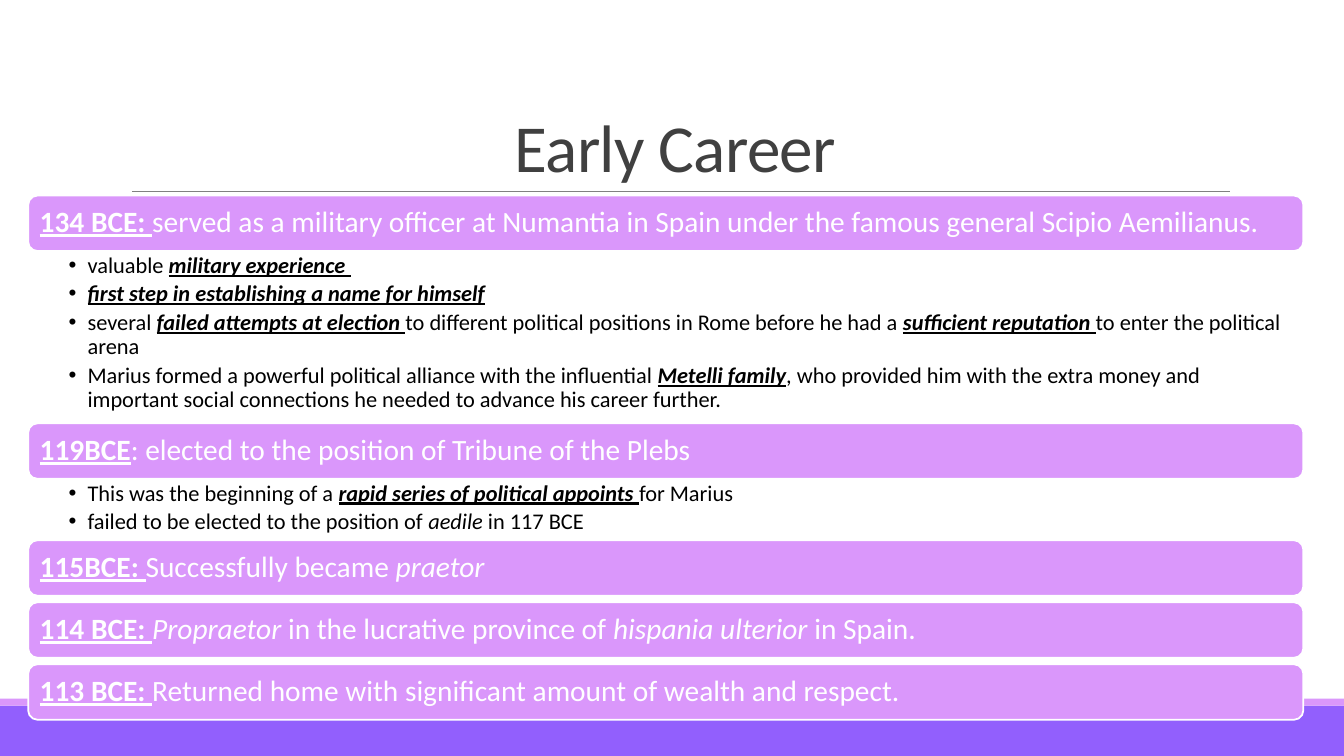
from dataclasses import dataclass
from typing import NamedTuple

from lxml.etree import SubElement
from pptx import Presentation
from pptx.dml.color import RGBColor as Rgb
from pptx.enum.shapes import MSO_CONNECTOR as Conn, MSO_SHAPE as Kind
from pptx.enum.text import MSO_ANCHOR as Anchor, MSO_AUTO_SIZE as Fit, PP_ALIGN as Align
from pptx.oxml.ns import qn
from pptx.shapes.autoshape import Shape
from pptx.slide import Slide
from pptx.text.text import TextFrame
from pptx.util import Pt


@dataclass(frozen=True)
class Theme:
    font: str = "Calibri"
    lilac: str = "DA97FB"
    violet: str = "925FFD"
    white: str = "FFFFFF"
    black: str = "000000"
    ink: str = "404040"
    rule: str = "808080"
    title: float = 48
    head: float = 21
    item: float = 16


class Run(NamedTuple):
    """Text and its style letters: b bold, i italic, u underline."""
    text: str
    style: str = ""


@dataclass(frozen=True)
class Event:
    head: list[Run]
    items: tuple[list[Run], ...] = ()
    room: float = 4.7  # height between this bar and the next


THEME = Theme()
WIDE, HIGH = 960, 540
LEFT, SPAN = 20.16, 910.8
TOP, BAR = 139.7, 39.6

EVENTS = [
    Event(
        [Run("134 BCE: ", "bu"),
         Run("served as a military officer at Numantia in Spain under the "
             "famous general Scipio Aemilianus.")],
        ([Run("valuable "), Run("military experience ", "biu")],
         [Run("first step in establishing a name for himself", "biu")],
         [Run("several "), Run("failed attempts at election ", "biu"),
          Run("to different political positions in Rome before he had a "),
          Run("sufficient reputation ", "biu"),
          Run("to enter the political arena")],
         [Run("Marius formed a powerful political alliance with the influential "),
          Run("Metelli family", "biu"),
          Run(", who provided him with the extra money and important social "
              "connections he needed to advance his career further.")]),
        123.1),
    Event(
        [Run("119BCE", "bu"),
         Run(": elected to the position of Tribune of the Plebs")],
        ([Run("This was the beginning of a "),
          Run("rapid series of political appoints ", "biu"), Run("for Marius")],
         [Run("failed to be elected to the position of "), Run("aedile", "i"),
          Run(" in 117 BCE")]),
        43.9),
    Event([Run("115BCE: ", "bu"), Run("Successfully became "), Run("praetor", "i")]),
    Event([Run("114 BCE: ", "bu"), Run("Propraetor", "i"),
           Run(" in the lucrative province of "), Run("hispania ulterior", "i"),
           Run(" in Spain.")]),
    Event([Run("113 BCE: ", "bu"),
           Run("Returned home with significant amount of wealth and respect.")]),
]


def write(frame: TextFrame, *paras: list[Run], size: float, color: str,
          inset: tuple[float, float, float, float], anchor: Anchor = Anchor.TOP,
          align: Align = Align.LEFT, lead: float = 0.9, after: float = 0,
          track: int = 0, dent: float = 0) -> None:
    """Fill a frame; dent is the bullet's hanging indent, 0 for no bullet."""
    frame.word_wrap = True
    frame.auto_size = Fit.NONE
    frame.vertical_anchor = anchor
    (frame.margin_left, frame.margin_top,
     frame.margin_right, frame.margin_bottom) = map(Pt, inset)
    for n, runs in enumerate(paras):
        para = frame.add_paragraph() if n else frame.paragraphs[0]
        if dent:
            props = para._p.get_or_add_pPr()
            props.set("marL", str(Pt(dent)))
            props.set("indent", str(-Pt(dent)))
            SubElement(props, qn("a:buChar")).set("char", "•")
        para.alignment = align
        para.line_spacing = lead
        para.space_before = Pt(0)
        para.space_after = Pt(after)
        for part in runs:
            run = para.add_run()
            run.text = part.text
            font = run.font
            font.name, font.size = THEME.font, Pt(size)
            font.color.rgb = Rgb.from_string(color)
            font.bold = "b" in part.style
            font.italic = "i" in part.style
            font.underline = "u" in part.style
            if track:
                run._r.get_or_add_rPr().set("spc", str(track))


def place(shape: Shape, x: float, y: float, w: float, h: float) -> None:
    shape.left, shape.top, shape.width, shape.height = map(Pt, (x, y, w, h))


def block(slide: Slide, kind: Kind, x: float, y: float, w: float, h: float,
          fill: str, edge: str = "") -> Shape:
    shape = slide.shapes.add_shape(kind, Pt(x), Pt(y), Pt(w), Pt(h))
    shape.shadow.inherit = False
    shape.fill.solid()
    shape.fill.fore_color.rgb = Rgb.from_string(fill)
    if edge:
        shape.line.color.rgb = Rgb.from_string(edge)
        shape.line.width = Pt(1.25)
    else:
        shape.line.fill.background()
    return shape


def frame_page(slide: Slide) -> None:
    """Draw the footer bands, the title and the rule below it."""
    block(slide, Kind.RECTANGLE, 0, 504, WIDE, 36, THEME.violet)
    block(slide, Kind.RECTANGLE, 0, 499, WIDE, 5, THEME.lilac)
    rule = slide.shapes.add_connector(
        Conn.STRAIGHT, Pt(94.3), Pt(136.8), Pt(878.8), Pt(136.8))
    rule.line.color.rgb = Rgb.from_string(THEME.rule)
    rule.line.width = Pt(0.5)
    SubElement(rule._element.spPr, qn("a:effectLst"))
    title = slide.shapes.title
    place(title, 86.4, 22.3, 792, 114.5)
    write(title.text_frame, [Run("Early Career")], size=THEME.title,
          color=THEME.ink, inset=(7.2, 3.6, 7.2, 3.6), anchor=Anchor.BOTTOM,
          align=Align.CENTER, lead=0.85, track=-50)


def draw_events(slide: Slide) -> None:
    lists = iter([p for p in slide.placeholders if p.placeholder_format.idx])
    y = TOP
    for event in EVENTS:
        bar = block(slide, Kind.ROUNDED_RECTANGLE, LEFT, y, SPAN, BAR,
                    THEME.lilac, THEME.white)
        write(bar.text_frame, event.head, size=THEME.head, color=THEME.white,
              inset=(6.3, 6.3, 6.3, 6.3), anchor=Anchor.MIDDLE)
        y += BAR
        if event.items:
            body = next(lists)
            place(body, LEFT, y, SPAN, event.room)
            write(body.text_frame, *event.items, size=THEME.item,
                  color=THEME.black, inset=(28.9, 2.1, 11.5, 2.1),
                  after=3.2, dent=13.5)
        y += event.room


def main() -> None:
    deck = Presentation()
    deck.slide_width, deck.slide_height = Pt(WIDE), Pt(HIGH)
    slide = deck.slides.add_slide(deck.slide_layouts.get_by_name("Two Content"))
    frame_page(slide)
    draw_events(slide)
    deck.save("out.pptx")


if __name__ == "__main__":
    main()
